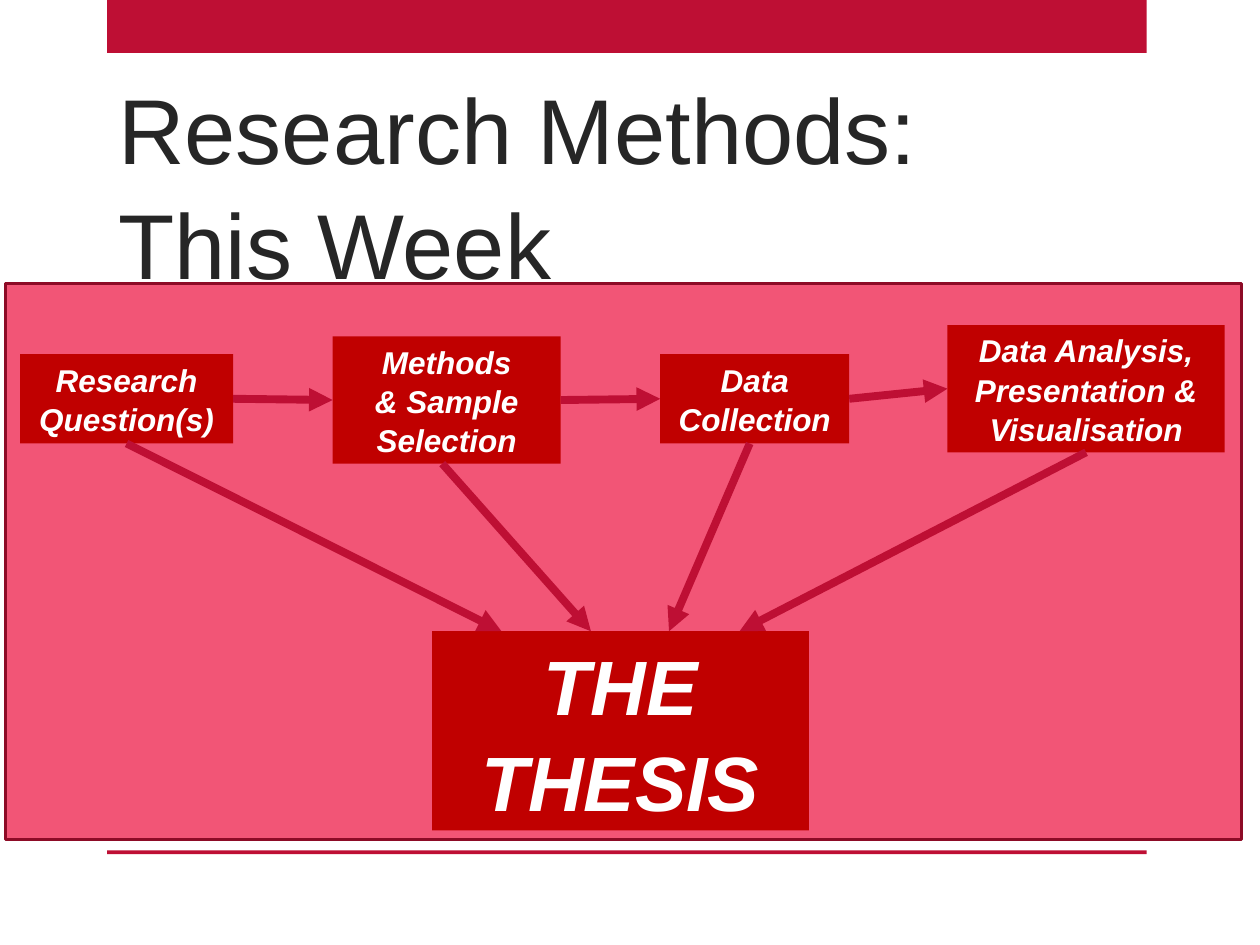
from typing import NamedTuple

from lxml.etree import SubElement
from pptx import Presentation
from pptx.dml.color import RGBColor
from pptx.enum.shapes import MSO_CONNECTOR, MSO_SHAPE
from pptx.enum.text import MSO_ANCHOR, PP_ALIGN
from pptx.oxml.ns import qn
from pptx.util import Inches, Pt

WIDE, HIGH = Inches(10), Inches(7.5)
COLS, ROWS = 100, 75
RED, DARK, PINK, BRICK = "BE0F34", "8D0B26", "F25576", "C00000"
WHITE, INK = "FFFFFF", "262626"
LEAD = 1.04


class Area(NamedTuple):
    col: float
    row: float
    cols: float
    rows: float


class Step(NamedTuple):
    area: Area
    lines: list[str]
    start: float
    end: float


BAR = Area(8.5, 0, 82.5, 4.2)
RULE = Area(8.5, 67.5, 82.5, 0.3)
PANEL = Area(0.4, 22.5, 98.1, 44.1)
TITLE = Area(8.4, 4.4, 74.2, 17.5)
GOAL = Area(34.3, 50.1, 29.9, 15.8)
STEPS = [
    Step(Area(1.6, 28.1, 16.9, 7.1), ["Research", "Question(s)"], 10.05, 39.8),
    Step(Area(26.4, 26.7, 18.1, 10.1), ["Methods", "& Sample Selection"], 35.1, 46.9),
    Step(Area(52.4, 28.1, 15, 7.1), ["Data", "Collection"], 59.5, 53.1),
    Step(Area(75.2, 25.8, 22, 10.1),
         ["Data Analysis,", "Presentation &", "Visualisation"], 86.2, 58.7),
]


def tint(code: str) -> RGBColor:
    return RGBColor.from_string(code)


def at_x(col: float) -> int:
    return round(WIDE * col / COLS)


def at_y(row: float) -> int:
    return round(HIGH * row / ROWS)


def place(area: Area) -> tuple[int, int, int, int]:
    return at_x(area.col), at_y(area.row), at_x(area.cols), at_y(area.rows)


def write(frame, lines: list[str], align, look: dict, color: str) -> None:
    frame.word_wrap = True
    frame.text = "\n".join(lines)
    for para in frame.paragraphs:
        para.alignment = align
        para.line_spacing = LEAD
        for run in para.runs:
            for key, value in look.items():
                setattr(run.font, key, value)
            run.font.color.rgb = tint(color)


def block(slide, area: Area, fill: str, edge: str = ""):
    shape = slide.shapes.add_shape(MSO_SHAPE.RECTANGLE, *place(area))
    shape.shadow.inherit = False
    shape.fill.solid()
    shape.fill.fore_color.rgb = tint(fill)
    if edge:
        shape.line.color.rgb = tint(edge)
        shape.line.width = Pt(1.75)
    else:
        shape.line.fill.background()
    return shape


def card(slide, area: Area, lines: list[str], size: int):
    shape = block(slide, area, BRICK)
    shape.text_frame.vertical_anchor = MSO_ANCHOR.MIDDLE
    look = {"name": "Arial", "size": Pt(size), "bold": True, "italic": True}
    write(shape.text_frame, lines, PP_ALIGN.CENTER, look, WHITE)
    return shape


def arrow(slide, col: float = 0, row: float = 0, to_col: float = 0, to_row: float = 0):
    line = slide.shapes.add_connector(
        MSO_CONNECTOR.STRAIGHT, at_x(col), at_y(row), at_x(to_col), at_y(to_row))
    line.line.color.rgb = tint(RED)
    line.line.width = Pt(4.5)
    props = line._element.spPr
    SubElement(props.find(qn("a:ln")), qn("a:tailEnd"), type="triangle")
    SubElement(props, qn("a:effectLst"))
    return line


def head(slide) -> None:
    frame = slide.shapes.add_textbox(*place(TITLE)).text_frame
    frame.margin_top = Inches(0.1)
    look = {"name": "Arial", "size": Pt(52.6)}
    write(frame, ["Research Methods:\vThis Week"], PP_ALIGN.LEFT, look, INK)


def main() -> None:
    deck = Presentation()
    deck.slide_width, deck.slide_height = WIDE, HIGH
    slide = deck.slides.add_slide(deck.slide_layouts[6])
    block(slide, BAR, RED)
    block(slide, RULE, RED)
    block(slide, PANEL, PINK, DARK)
    card(slide, GOAL, ["THE THESIS"], 44)
    head(slide)

    cards = [card(slide, step.area, step.lines, 18) for step in STEPS]
    for step, box in zip(STEPS, cards):
        area = step.area
        line = arrow(slide, step.start, area.row + area.rows, step.end, GOAL.row)
        if abs(step.start - area.col - area.cols / 2) < 0.1:
            line.begin_connect(box, 2)
    for left, right in zip(cards, cards[1:]):
        line = arrow(slide)
        line.begin_connect(left, 3)
        line.end_connect(right, 1)
    deck.save("out.pptx")


if __name__ == "__main__":
    main()
